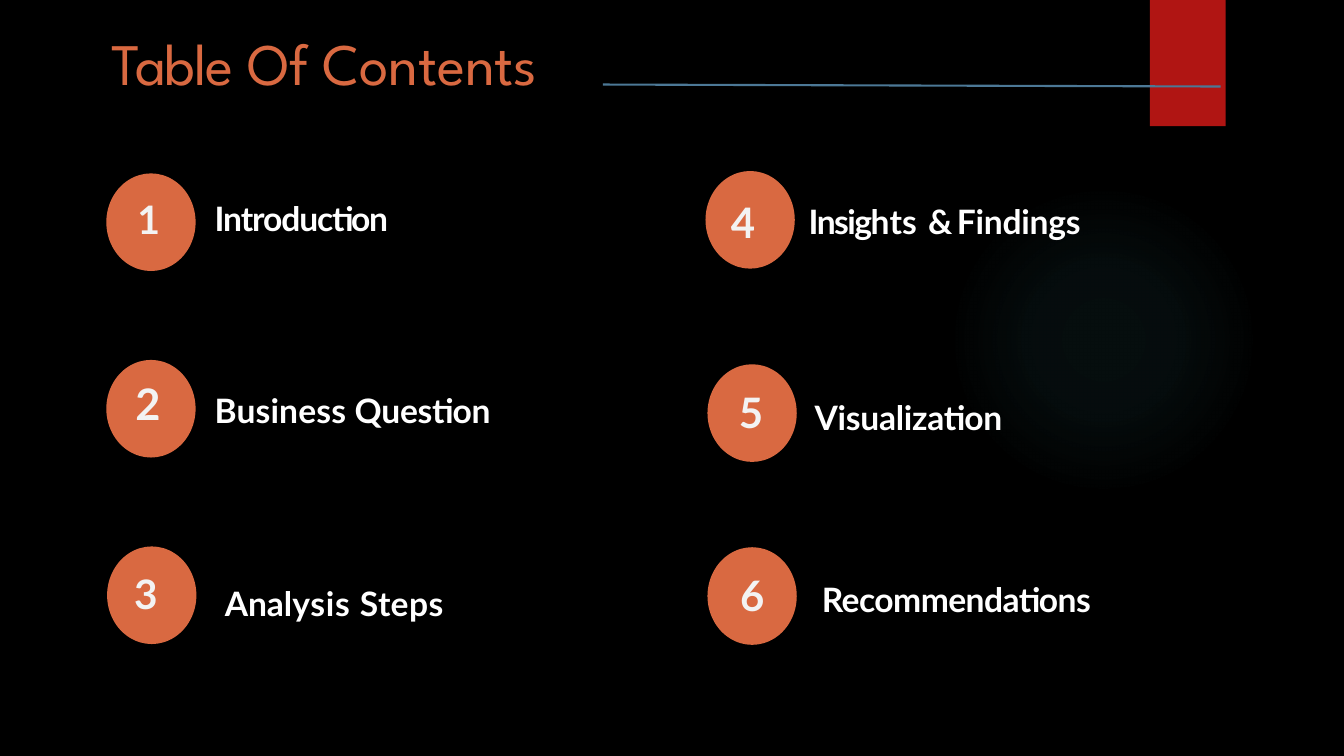
from lxml import etree
from pptx import Presentation
from pptx.dml.color import RGBColor
from pptx.enum.shapes import MSO_CONNECTOR, MSO_SHAPE
from pptx.enum.text import MSO_ANCHOR, MSO_AUTO_SIZE, PP_ALIGN
from pptx.oxml import parse_xml
from pptx.oxml.ns import nsdecls, qn
from pptx.util import Cm, Pt

OVAL, RECT = MSO_SHAPE.OVAL, MSO_SHAPE.RECTANGLE
STRAIGHT = MSO_CONNECTOR.STRAIGHT
LEFT, TOP, NO_FIT = PP_ALIGN.LEFT, MSO_ANCHOR.TOP, MSO_AUTO_SIZE.NONE

BLACK = RGBColor(0x00, 0x00, 0x00)
WHITE = RGBColor(0xFF, 0xFF, 0xFF)
PALE = RGBColor(0xF3, 0xF3, 0xF3)
ORANGE = RGBColor(0xD9, 0x69, 0x41)
RED = RGBColor(0xB0, 0x15, 0x13)
BLUE = RGBColor(0x4C, 0x78, 0x96)
TEAL = RGBColor(0x50, 0xB9, 0xC1)

# Content: runs are (text, letter spacing in points)
TITLE = [("Table ", -0.8), ("Of Contents", -0.1)]

# Circle (x, y); number run, size, (x, y); label runs, (x, y, width); all in cm
ITEMS = [
    ((2.68, 4.37), ("1", -5.8), 28, (3.43, 4.9),
     [("Introduction", -0.8)], (5.38, 4.95, 5.13)),
    ((2.68, 9.07), ("2", -0.2), 31, (3.38, 9.47),
     [("Business ", 0.1), ("Question", -0.2)], (5.38, 9.8, 7.77)),
    ((2.7, 13.77), ("3", 0.2), 29, (3.35, 14.3),
     [("Ana", -0.1), ("l", 0.1), ("ysi", 0.5), ("s ", 0.6),
      ("S", -0.5), ("t", -0.6), ("eps", 0.3)], (5.64, 14.66, 6.22)),
    ((17.78, 4.31), ("4", 1.1), 30, (18.39, 4.93),
     [("Insigh", -1.1), ("t", -0.9), ("s ", 1.1), ("& ", -2.6),
      ("Findings", -0.2)], (20.35, 5.03, 7.9)),
    ((17.83, 9.18), ("5", -0.5), 30, (18.59, 9.7),
     [("Visualization", -0.2)], (20.5, 9.98, 5.44)),
    ((17.83, 13.79), ("6", 0.3), 30, (18.62, 14.33),
     [("Recommendations", -0.4)], (20.68, 14.55, 7.8)),
]
CIRCLE_W, CIRCLE_H = 2.25, 2.46
NUMBER_W, NUMBER_H, LABEL_H = 0.8, 1.35, 1.09
LABEL_SIZE = 24

# Glow stops: (position %, opacity %)
GLOW = [(0, 7), (36, 6), (69, 0)]


def add_shape(s, kind, x, y, w, h, color):
    sp = s.shapes.add_shape(kind, Cm(x), Cm(y), Cm(w), Cm(h))
    sp.shadow.inherit = False
    sp.fill.solid()
    sp.fill.fore_color.rgb = color
    sp.line.fill.background()
    return sp


def write(sp, runs, size, font, color, bold=False):
    tf = sp.text_frame
    tf.word_wrap = True
    tf.auto_size = NO_FIT
    tf.vertical_anchor = TOP
    tf.margin_left = tf.margin_top = Cm(0.03)
    tf.margin_right = tf.margin_bottom = 0
    p = tf.paragraphs[0]
    p.alignment = LEFT
    p.space_before = Pt(1)
    p.line_spacing = 1.0
    for text, spacing in runs:
        r = p.add_run()
        r.text = text
        r.font.name = font
        r.font.size = Pt(size)
        r.font.bold = bold
        r.font.color.rgb = color
        r.font._element.set("spc", str(round(spacing * 100)))


def add_text(s, x, y, w, h, runs, size, color):
    sp = s.shapes.add_textbox(Cm(x), Cm(y), Cm(w), Cm(h))
    write(sp, runs, size, "Lato", color, bold=True)


prs = Presentation()
prs.slide_width, prs.slide_height = Cm(33.87), Cm(19.05)
s = prs.slides.add_slide(prs.slide_layouts[5])
s.background.fill.solid()
s.background.fill.fore_color.rgb = BLACK

# Soft glow: radial gradient fading to transparent
glow = add_shape(s, OVAL, 23.9, 4.65, 7.82, 7.82, TEAL)
stops = "".join(
    f'<a:gs pos="{pos * 1000}"><a:srgbClr val="{TEAL}">'
    f'<a:alpha val="{alpha * 1000}"/></a:srgbClr></a:gs>'
    for pos, alpha in GLOW)
gradient = parse_xml(
    f'<a:gradFill {nsdecls("a")}><a:gsLst>{stops}</a:gsLst><a:path path="circle">'
    '<a:fillToRect l="50000" t="50000" r="50000" b="50000"/></a:path></a:gradFill>')
spPr = glow._element.spPr
spPr.replace(spPr.find(qn("a:solidFill")), gradient)

# Red tab
add_shape(s, RECT, 28.98, 0, 1.91, 3.18, RED)

# Numbered items
for circle, number, size, number_at, label, (x, y, w) in ITEMS:
    add_shape(s, OVAL, *circle, CIRCLE_W, CIRCLE_H, ORANGE)
    add_text(s, *number_at, NUMBER_W, NUMBER_H, [number], size, PALE)
    add_text(s, x, y, w, LABEL_H, label, LABEL_SIZE, WHITE)

# Title
title = s.shapes.title
title.left, title.top, title.width, title.height = Cm(2.79), Cm(0.64), Cm(11.71), Cm(3.63)
write(title, TITLE, 42, "League Spartan", ORANGE)

# Rule beside the title
rule = s.shapes.add_connector(STRAIGHT, Cm(15.19), Cm(2.13), Cm(30.76), Cm(2.18))
rule.line.color.rgb = BLUE
rule.line.width = Pt(1.5)
etree.SubElement(rule._element.spPr, qn("a:effectLst"))

prs.save("out.pptx")
